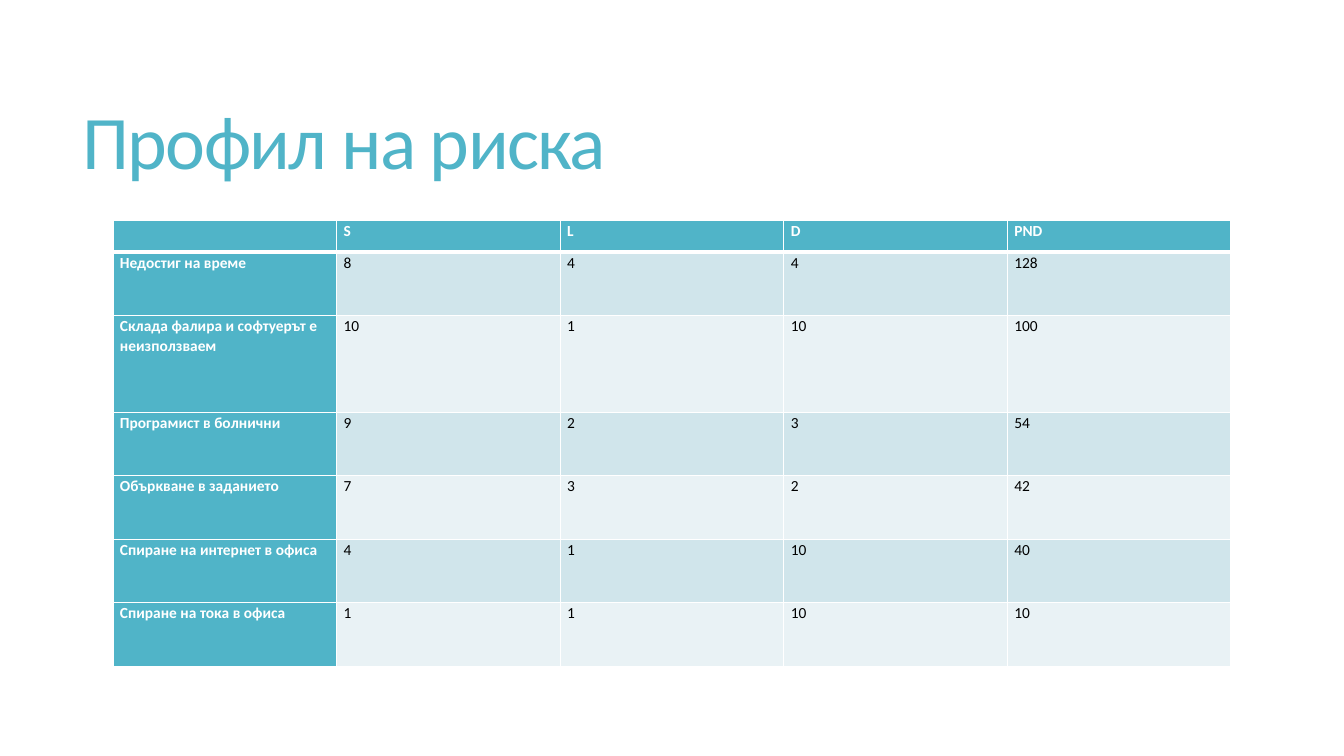
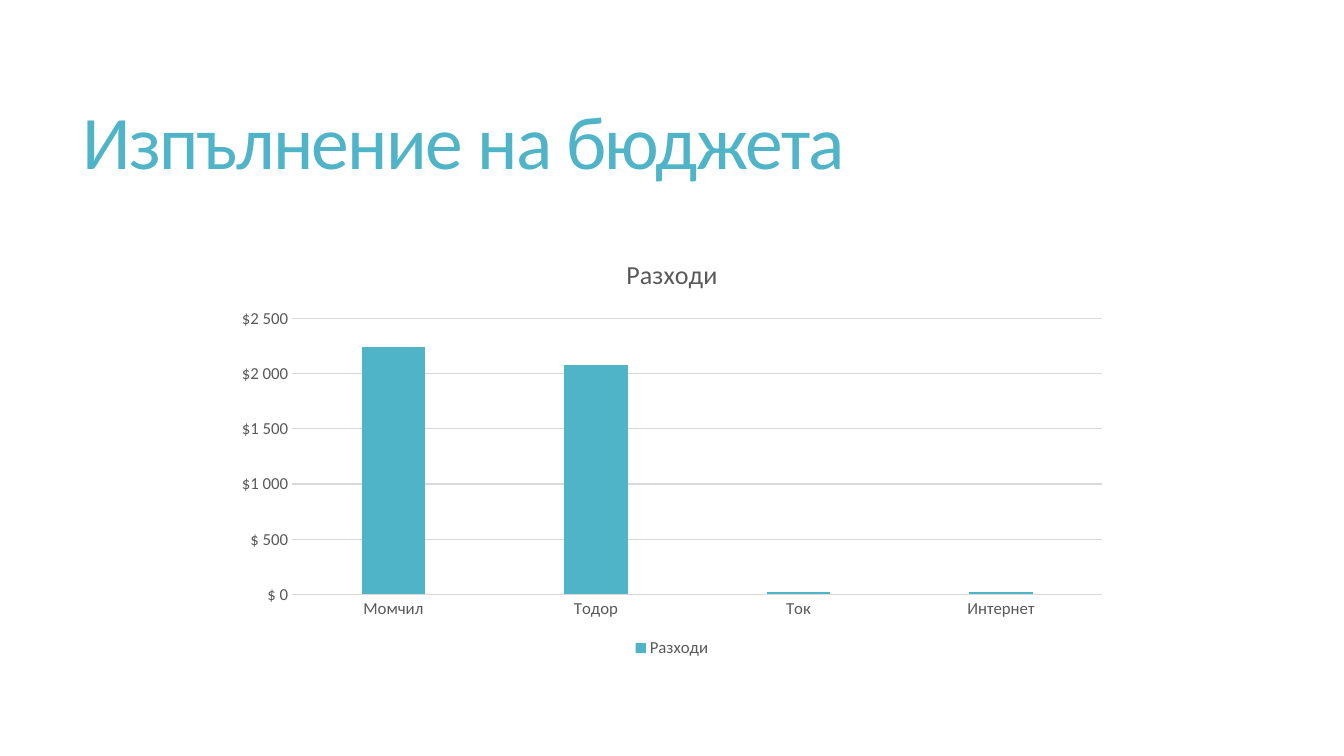
import lxml.etree
import pptx
import pptx.chart.data
import pptx.dml.color
import pptx.enum.chart
import pptx.enum.text
import pptx.oxml.ns
import pptx.util

Inches = pptx.util.Inches
Pt = pptx.util.Pt
qn = pptx.oxml.ns.qn

FONT = "Calibri"
TEAL = "50B4C8"
WHITE = "FFFFFF"
BLACK = "000000"
GRAY = "595959"
GRID = "D9D9D9"
BANDS = ("D0E5EB", "E9F2F5")

RISKS = [
    ("", "S", "L", "D", "PND"),
    ("Недостиг на време", "8", "4", "4", "128"),
    ("Склада фалира и софтуерът е неизползваем", "10", "1", "10", "100"),
    ("Програмист в болнични", "9", "2", "3", "54"),
    ("Объркване в заданието", "7", "3", "2", "42"),
    ("Спиране на интернет в офиса", "4", "1", "10", "40"),
    ("Спиране на тока в офиса", "1", "1", "10", "10"),
]
ROW_HEIGHTS = (0.31, 0.63, 0.96, 0.63, 0.63, 0.63, 0.63)
COSTS = {"Момчил": 2240, "Тодор": 2080, "Ток": 20, "Интернет": 20}


def rgb(value):
    return pptx.dml.color.RGBColor.from_string(value)


def style_font(font, size, color, bold=False):
    font.name = FONT
    font.size = Pt(size)
    font.bold = bold
    font.color.rgb = rgb(color)


def style_line(line, color, width=0.75):
    line.color.rgb = rgb(color)
    line.width = Pt(width)


def add_titled_slide(prs, title):
    slide = prs.slides.add_slide(prs.slide_layouts[6])
    box = slide.shapes.add_textbox(Inches(0.72), Inches(0.55), Inches(11.78), Inches(1.81))
    tf = box.text_frame
    tf.word_wrap = True
    tf.vertical_anchor = pptx.enum.text.MSO_ANCHOR.MIDDLE
    p = tf.paragraphs[0]
    p.line_spacing = 0.85
    r = p.add_run()
    r.text = title
    style_font(r.font, 54, TEAL)
    r.font._element.set("spc", "-120")
    return slide


def set_borders(cell, top, bottom):
    """Draw white cell borders; widths are in points."""
    tc_pr = cell._tc.get_or_add_tcPr()
    for side, width in (("L", 1), ("R", 1), ("T", top), ("B", bottom)):
        ln = lxml.etree.SubElement(tc_pr, qn(f"a:ln{side}"), w=str(Pt(width)))
        fill = lxml.etree.SubElement(ln, qn("a:solidFill"))
        lxml.etree.SubElement(fill, qn("a:srgbClr"), val=WHITE)


def fill_cell(cell, text, size, color, bold):
    cell.margin_left = cell.margin_right = Inches(0.07)
    cell.margin_top = cell.margin_bottom = 0
    p = cell.text_frame.paragraphs[0]
    p.line_spacing = 1.07
    p.space_after = Pt(8)
    if text:
        r = p.add_run()
        r.text = text
        style_font(r.font, size, color, bold)
    else:
        lxml.etree.SubElement(p._p, qn("a:endParaRPr"), sz=str(size * 100))


def add_risk_table(slide):
    frame = slide.shapes.add_table(
        len(RISKS), len(RISKS[0]), Inches(1.12), Inches(2.19),
        Inches(11.09), Inches(sum(ROW_HEIGHTS)))
    table = frame.table
    for i, (values, height) in enumerate(zip(RISKS, ROW_HEIGHTS)):
        table.rows[i].height = Inches(height)
        for j, text in enumerate(values):
            cell = table.cell(i, j)
            heading = i == 0 or j == 0
            fill_cell(cell, text, 11, WHITE if heading else BLACK, heading)
            set_borders(cell, top=3 if i == 1 else 1, bottom=3 if i == 0 else 1)
            cell.fill.solid()
            cell.fill.fore_color.rgb = rgb(TEAL if heading else BANDS[(i - 1) % 2])


def add_cost_chart(slide):
    data = pptx.chart.data.CategoryChartData()
    data.categories = list(COSTS)
    data.add_series("Разходи", list(COSTS.values()))
    chart = slide.shapes.add_chart(
        pptx.enum.chart.XL_CHART_TYPE.COLUMN_CLUSTERED,
        Inches(2.22), Inches(2.36), Inches(8.89), Inches(4.21), data).chart
    style_font(chart.font, 10, BLACK)

    chart.has_title = True
    r = chart.chart_title.text_frame.paragraphs[0].add_run()
    r.text = "Разходи"
    style_font(r.font, 18.6, GRAY)
    chart.chart_title.include_in_layout = False

    chart.has_legend = True
    chart.legend.position = pptx.enum.chart.XL_LEGEND_POSITION.BOTTOM
    chart.legend.include_in_layout = False
    style_font(chart.legend.font, 12, GRAY)

    for axis in (chart.category_axis, chart.value_axis):
        axis.major_tick_mark = axis.minor_tick_mark = pptx.enum.chart.XL_TICK_MARK.NONE
        style_font(axis.tick_labels.font, 12, GRAY)
    style_line(chart.category_axis.format.line, GRID)
    chart.value_axis.format.line.fill.background()
    style_line(chart.value_axis.major_gridlines.format.line, GRID)
    labels = chart.value_axis.tick_labels
    labels.number_format = "[$$-409]#\\ ##0"
    labels.number_format_is_linked = False

    plot = chart.plots[0]
    plot.vary_by_categories = False
    plot.gap_width = 219
    plot.overlap = -27
    fill = plot.series[0].format.fill
    fill.solid()
    fill.fore_color.rgb = rgb(TEAL)


def main():
    prs = pptx.Presentation()
    prs.slide_width = Inches(13.33)
    prs.slide_height = Inches(7.5)
    add_risk_table(add_titled_slide(prs, "Профил на риска"))
    add_cost_chart(add_titled_slide(prs, "Изпълнение на бюджета"))
    prs.save("out.pptx")


if __name__ == "__main__":
    main()
